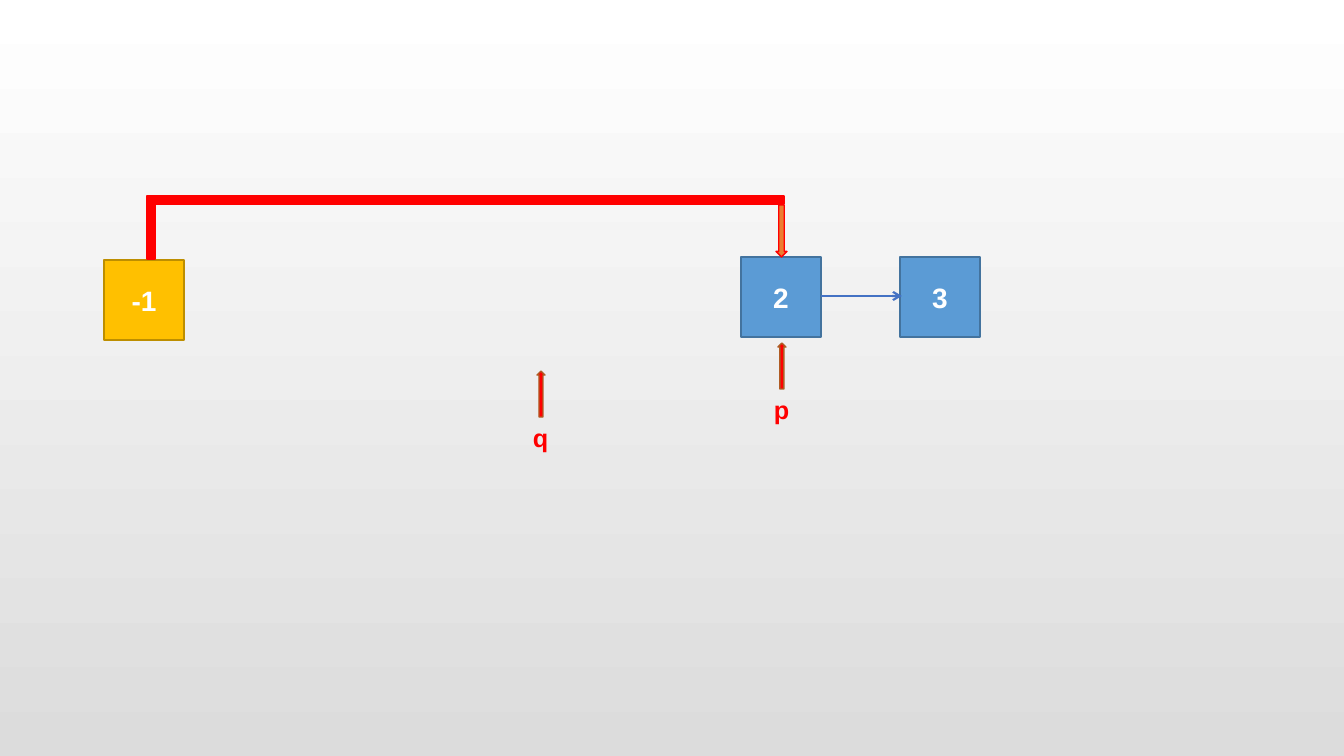
from pptx import Presentation
from pptx.dml.color import RGBColor
from pptx.enum.shapes import MSO_CONNECTOR as Connector, MSO_SHAPE as Preset
from pptx.enum.text import MSO_ANCHOR as Anchor, MSO_AUTO_SIZE as AutoSize, PP_ALIGN as Align
from pptx.oxml.ns import qn
from pptx.util import Emu, Pt
from lxml.etree import SubElement

WIDTH, HEIGHT = 1344, 756
EMU_PER_PX = 12192000 / WIDTH
RED, BLUE, BLUE_EDGE = "FF0000", "5B9BD5", "43739E"
YELLOW, YELLOW_EDGE = "FFC000", "BD8E00"
ORANGE, BROWN, INDIGO, WHITE = "ED7D31", "AF5C24", "4472C4", "FFFFFF"
NODE = 80


def px(*lengths):
    return [Emu(round(length * EMU_PER_PX)) for length in lengths]


def color(value):
    return RGBColor.from_string(value)


class ListDiagram:
    """Draws linked-list elements on one slide in a shared style."""

    def __init__(self, slide):
        self.slide = slide
        self.shapes = slide.shapes
        self.font = {"name": "Arial", "bold": True}

    def background(self, top, bottom):
        fill = self.slide.background.fill
        fill.gradient()
        fill.gradient_angle = 270
        for stop, value in zip(fill.gradient_stops, (top, bottom)):
            stop.color.rgb = color(value)

    def label(self, shape, text, size, value, **frame_format):
        frame = shape.text_frame
        for name, setting in frame_format.items():
            setattr(frame, name, setting)
        paragraph = frame.paragraphs[0]
        run = paragraph.add_run()
        run.text = text
        for name, setting in {**self.font, "size": Pt(size)}.items():
            setattr(run.font, name, setting)
        run.font.color.rgb = color(value)
        return paragraph

    def block(self, preset, box, fill, edge):
        shape = self.shapes.add_shape(preset, *px(*box))
        shape.shadow.inherit = False
        shape.fill.solid()
        shape.fill.fore_color.rgb = color(fill)
        shape.line.color.rgb = color(edge)
        shape.line.width = Pt(1)
        return shape

    def node(self, text, left, top, fill, edge):
        shape = self.block(Preset.RECTANGLE, (left, top, NODE, NODE), fill, edge)
        paragraph = self.label(shape, text, 20, WHITE, vertical_anchor=Anchor.MIDDLE)
        paragraph.alignment = Align.CENTER

    def link(self, left, right, y):
        connector = self.shapes.add_connector(Connector.STRAIGHT, *px(left, y, right, y))
        connector.line.color.rgb = color(INDIGO)
        connector.line.width = Pt(1.5)
        properties = connector._element.spPr
        SubElement(properties.find(qn("a:ln")), qn("a:tailEnd"), type="arrow")
        SubElement(properties, qn("a:effectLst"))

    def pointer(self, text, left, top):
        self.block(Preset.UP_ARROW, (left + 14, top, 8, 46), RED, BROWN)
        text_box = self.shapes.add_textbox(*px(left, top + 46, 35, 40))
        self.label(text_box, text, 18, RED, word_wrap=False,
                   auto_size=AutoSize.SHAPE_TO_FIT_TEXT)


def main():
    presentation = Presentation()
    presentation.slide_width, presentation.slide_height = px(WIDTH, HEIGHT)
    diagram = ListDiagram(presentation.slides.add_slide(presentation.slide_layouts[6]))
    diagram.background(WHITE, "DCDCDC")
    for text, left in (("2", 741), ("3", 900)):
        diagram.node(text, left, 257, BLUE, BLUE_EDGE)
    diagram.link(821, 902, 296)
    diagram.node("-1", 104, 260, YELLOW, YELLOW_EDGE)
    diagram.pointer("p", 764, 343)
    diagram.block(Preset.DOWN_ARROW, (776, 205, 11, 52), ORANGE, RED)
    diagram.pointer("q", 523, 371)
    for box in ((147, 196, 637, 8), (147, 204, 8, 55)):
        diagram.block(Preset.RECTANGLE, box, RED, RED)
    presentation.save("out.pptx")


if __name__ == "__main__":
    main()
